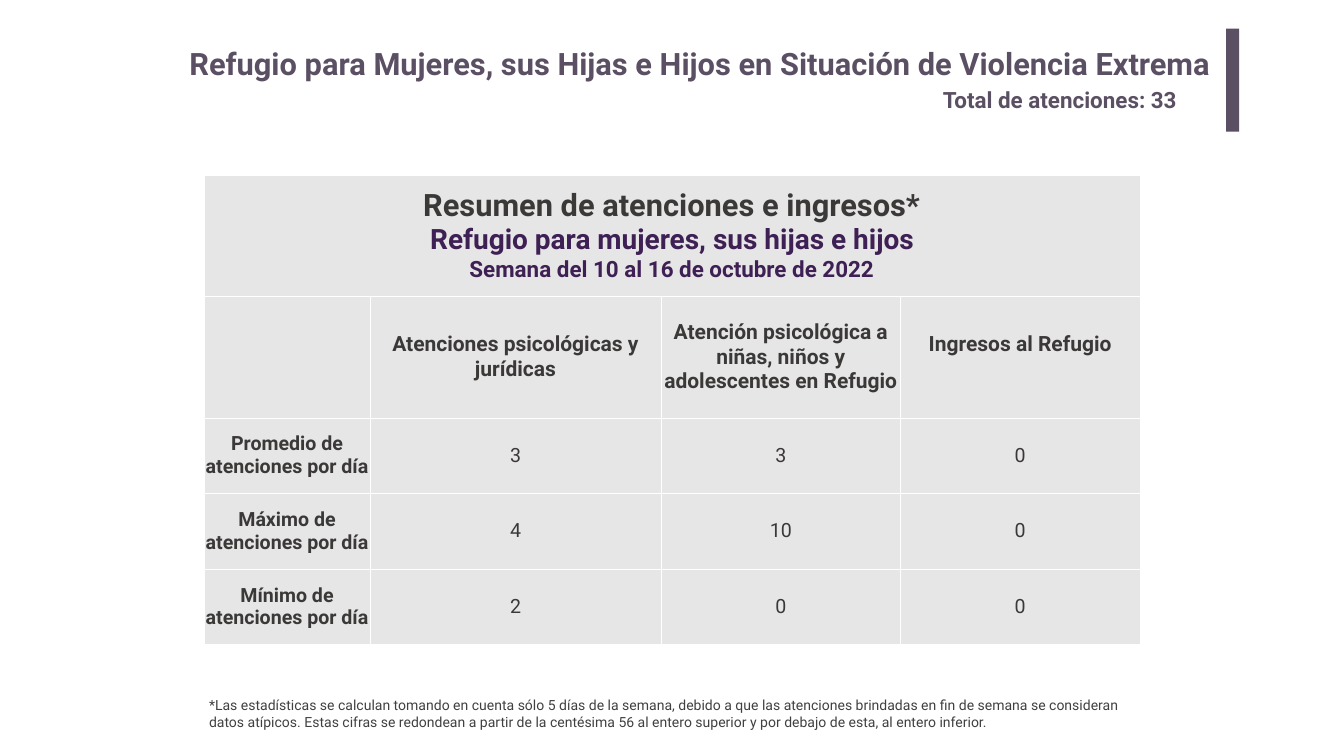
from lxml.etree import SubElement
from pptx import Presentation
from pptx.dml.color import RGBColor
from pptx.enum.shapes import MSO_SHAPE
from pptx.enum.text import MSO_ANCHOR, PP_ALIGN
from pptx.oxml.ns import qn
from pptx.util import Inches, Pt

FONT = "Roboto"
COLORS = {
    "accent": "5B4F63",
    "purple": "3E2054",
    "dark": "3B3838",
    "note": "404040",
    "cell": "E7E6E6",
    "border": "FFFFFF",
}
COLUMN_WIDTHS = [3.29, 5.78, 4.75, 4.75]
ROW_HEIGHTS = [2.4, 2.42, 1.5, 1.5, 1.5]
TABLE_TITLE = [
    ("Resumen de atenciones e ingresos*", 44, "dark"),
    ("Refugio para mujeres, sus hijas e hijos", 40, "purple"),
    ("Semana del 10 al 16 de octubre de 2022", 32, "purple"),
]
HEADERS = [
    "",
    "Atenciones psicológicas y jurídicas",
    "Atención psicológica a niñas, niños y adolescentes en Refugio",
    "Ingresos al Refugio",
]
ROWS = [
    ("Promedio de atenciones por día", 3, 3, 0),
    ("Máximo de atenciones por día", 4, 10, 0),
    ("Mínimo de atenciones por día", 2, 0, 0),
]
FOOTNOTE = (
    "*Las estadísticas se calculan tomando en cuenta sólo 5 días de la semana, "
    "debido a que las atenciones brindadas en fin de semana se consideran datos "
    "atípicos. Estas cifras se redondean a partir de la centésima 56 al entero "
    "superior y por debajo de esta, al entero inferior."
)


def rgb(name):
    return RGBColor.from_string(COLORS[name])


def write_lines(frame, lines, bold=True, align=None):
    for index, (text, size, color) in enumerate(lines):
        para = frame.paragraphs[0] if index == 0 else frame.add_paragraph()
        para.text = text
        para.alignment = align
        para.font.name = FONT
        para.font.size = Pt(size)
        para.font.bold = bold
        para.font.color.rgb = rgb(color)


def add_text(page, place, text, size, color, bold=True):
    box = page.shapes.add_textbox(*map(Inches, place))
    box.text_frame.word_wrap = True
    write_lines(box.text_frame, [(text, size, color)], bold)


def add_accent_bar(page):
    bar = page.shapes.add_shape(
        MSO_SHAPE.RECTANGLE, *map(Inches, (24.33, 0.57, 0.26, 2.04))
    )
    bar.shadow.inherit = False
    bar.fill.solid()
    bar.fill.fore_color.rgb = rgb("accent")
    bar.line.fill.background()


def style_cell(cell):
    cell.vertical_anchor = MSO_ANCHOR.MIDDLE
    cell.margin_left = cell.margin_right = 0
    cell.margin_top = cell.margin_bottom = 0
    properties = cell._tc.get_or_add_tcPr()
    for side in ("a:lnL", "a:lnR", "a:lnT", "a:lnB"):
        line = SubElement(properties, qn(side), w=str(Pt(1)))
        fill = SubElement(line, qn("a:solidFill"))
        SubElement(fill, qn("a:srgbClr"), val=COLORS["border"])
    cell.fill.solid()
    cell.fill.fore_color.rgb = rgb("cell")


def fill_cell(cell, lines, bold=True):
    write_lines(cell.text_frame, lines, bold, PP_ALIGN.CENTER)


def add_summary_table(page):
    table = page.shapes.add_table(
        len(ROW_HEIGHTS), len(COLUMN_WIDTHS), Inches(4.05), Inches(3.47),
        Inches(sum(COLUMN_WIDTHS)), Inches(sum(ROW_HEIGHTS)),
    ).table
    table.first_row = table.horz_banding = False
    for column, width in zip(table.columns, COLUMN_WIDTHS):
        column.width = Inches(width)
    for row, height in zip(table.rows, ROW_HEIGHTS):
        row.height = Inches(height)
    for cell in table.iter_cells():
        style_cell(cell)

    table.cell(0, 0).merge(table.cell(0, len(COLUMN_WIDTHS) - 1))
    fill_cell(table.cell(0, 0), TABLE_TITLE)
    for column, header in enumerate(HEADERS):
        fill_cell(table.cell(1, column), [(header, 30, "dark")])
    table.cell(1, 3).margin_bottom = Inches(0.5)
    for row, values in enumerate(ROWS, start=2):
        for column, value in enumerate(values):
            fill_cell(table.cell(row, column), [(str(value), 28, "dark")], column == 0)


def main():
    deck = Presentation()
    deck.slide_width = Inches(26.67)
    deck.slide_height = Inches(15)
    page = deck.slides.add_slide(deck.slide_layouts[6])

    add_summary_table(page)
    add_accent_bar(page)
    add_text(page, (18.61, 1.65, 5.35, 0.64), "Total de atenciones: 33", 32, "accent")
    add_text(
        page, (3.66, 0.84, 20.73, 0.84),
        "Refugio para Mujeres, sus Hijas e Hijos en Situación de Violencia Extrema",
        44, "accent",
    )
    add_text(page, (4.05, 13.77, 18.56, 0.77), FOOTNOTE, 20, "note", bold=False)
    deck.save("out.pptx")


if __name__ == "__main__":
    main()
